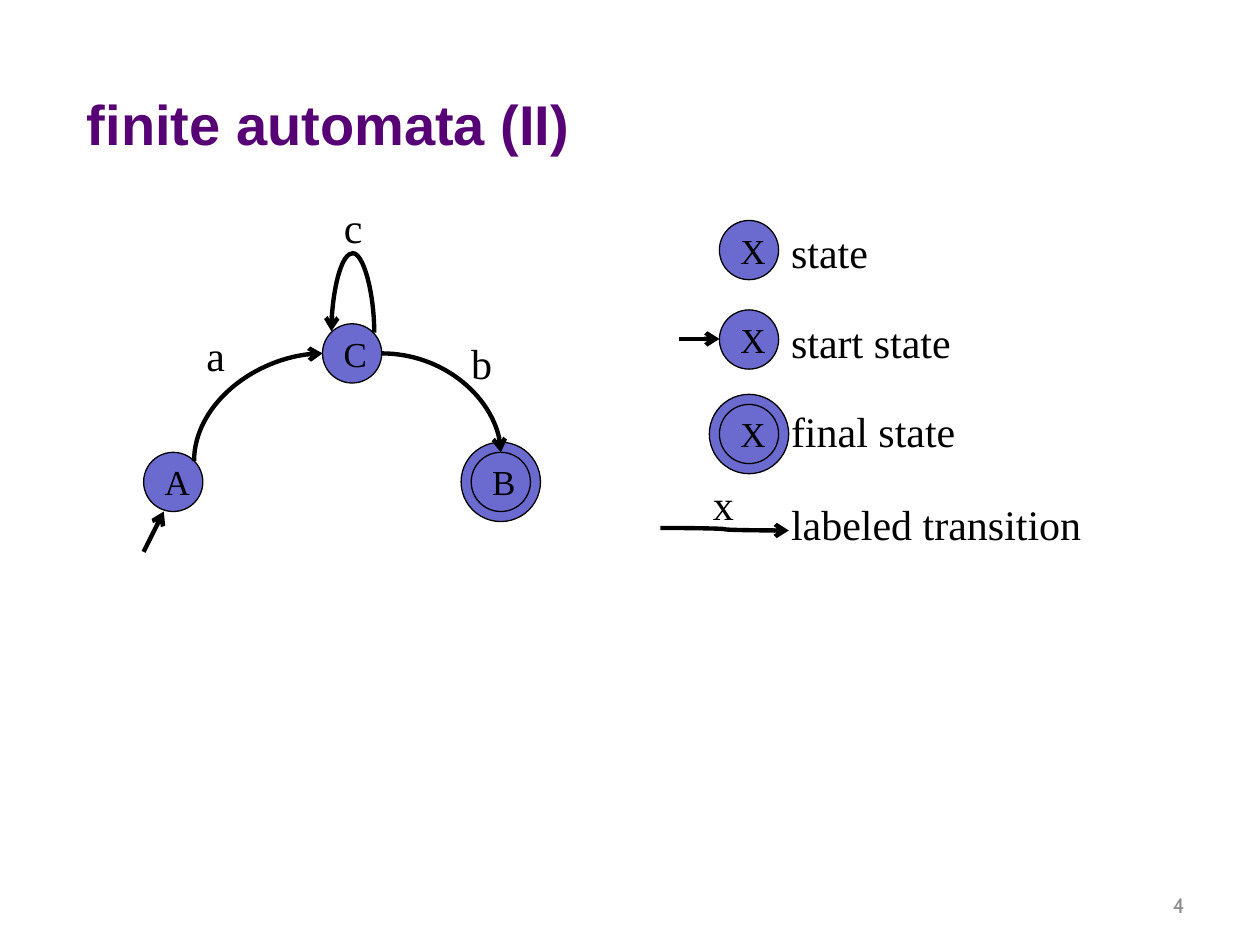
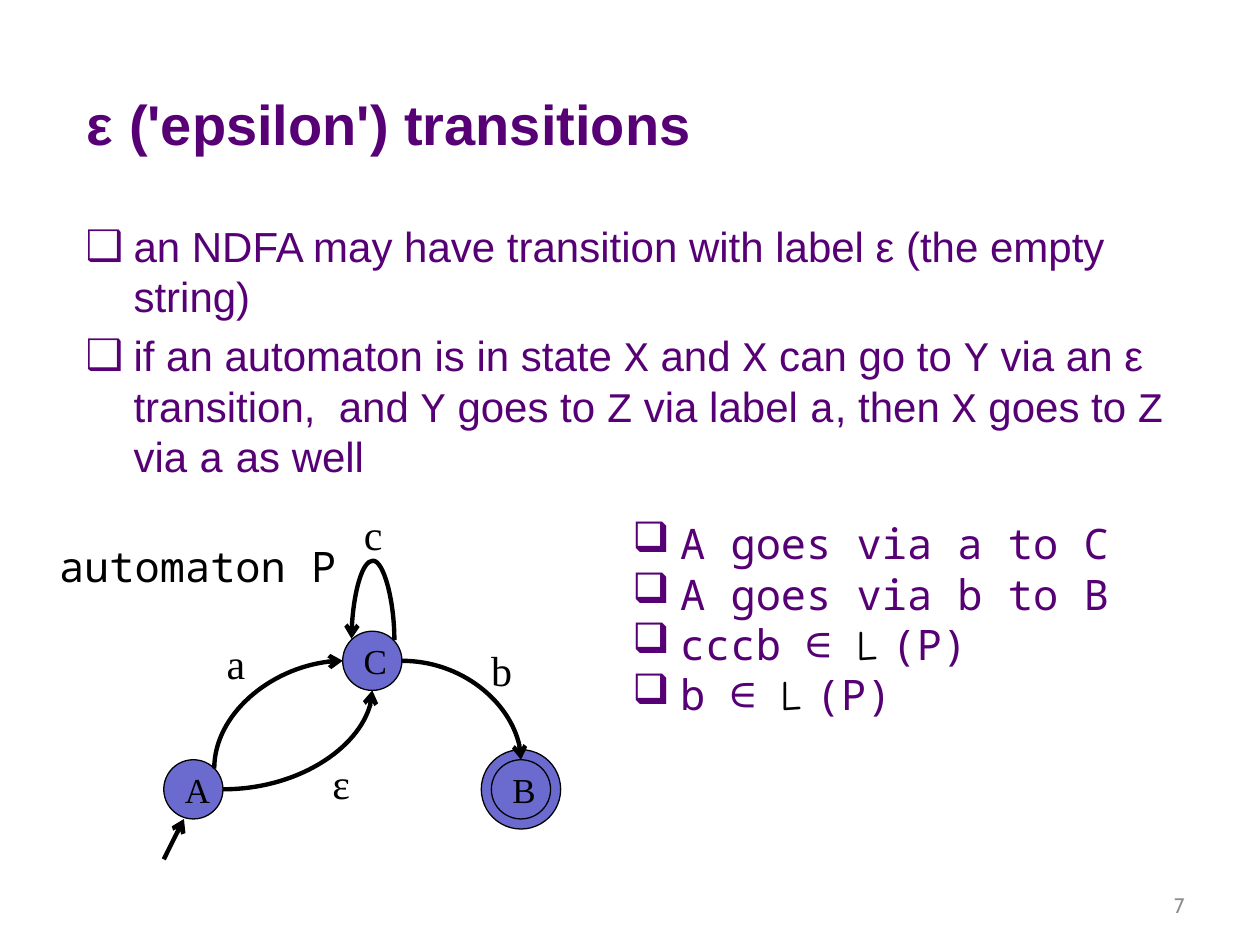
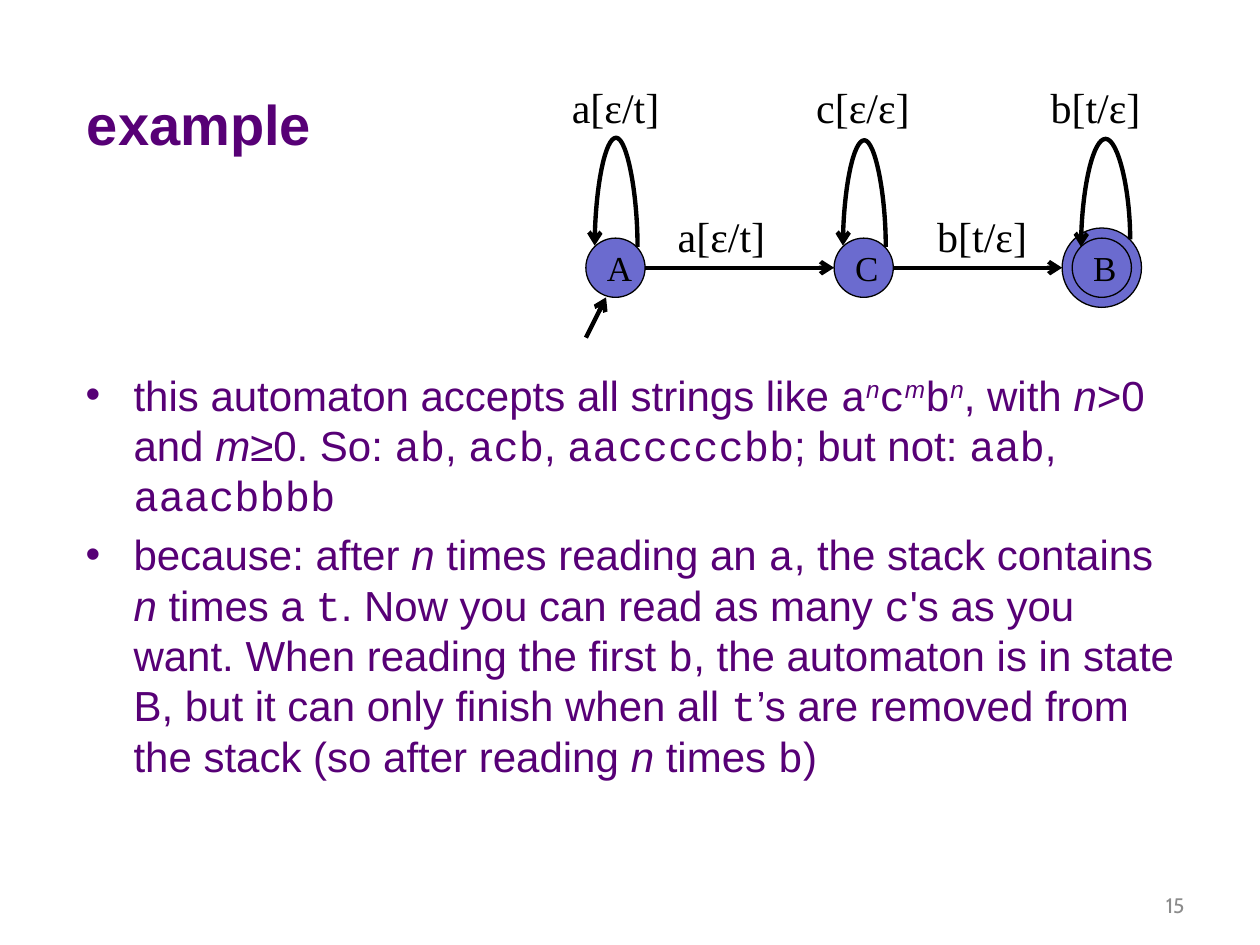
from dataclasses import dataclass
from typing import NamedTuple

from lxml import etree
from pptx import Presentation
from pptx.dml.color import RGBColor
from pptx.enum.shapes import MSO_CONNECTOR, MSO_SHAPE
from pptx.enum.text import MSO_ANCHOR, MSO_AUTO_SIZE, PP_ALIGN
from pptx.oxml.ns import qn
from pptx.util import Inches, Pt

STRAIGHT, CURVE = MSO_CONNECTOR.STRAIGHT, MSO_CONNECTOR.CURVE
OVAL = MSO_SHAPE.OVAL
MIDDLE = MSO_ANCHOR.MIDDLE
LEFT, CENTER, RIGHT = PP_ALIGN.LEFT, PP_ALIGN.CENTER, PP_ALIGN.RIGHT
FIT_SHAPE, NO_FIT = MSO_AUTO_SIZE.SHAPE_TO_FIT_TEXT, MSO_AUTO_SIZE.NONE

PURPLE = RGBColor(0x57, 0x00, 0x76)
STATE_BLUE = RGBColor(0x6B, 0x6B, 0xCF)
BLACK = RGBColor(0x00, 0x00, 0x00)
GREY = RGBColor(0x8C, 0x8C, 0x8C)

SANS, SERIF, CODE = "Arial", "Times New Roman", "Courier New"
MONO, SCRIPT, NUMBER = "Noto Sans Mono", "Comic Neue", "Cabin"

CONTENT_LAYOUT, TITLE_LAYOUT = 1, 5
STATE_SIZE, RING_SIZE, RING_GAP = 0.47, 0.63, 0.08
RADIUS = STATE_SIZE / 2
LABEL_HEIGHT = 0.5
TEXT_SIZE, LINE_PITCH = 24, 28.8
HANGING = 0.38


class Point(NamedTuple):
    x: float
    y: float


@dataclass
class State:
    name: str
    x: float
    y: float
    final: bool = False


@dataclass
class Label:
    text: str
    x: float
    y: float
    width: float
    font: str = SERIF
    wrap: bool = False


@dataclass
class Span:
    text: str
    font: str = SANS
    color: RGBColor = PURPLE
    italic: bool = False
    raised: bool = False


def code(text: str) -> Span:
    return Span(text, CODE)


def var(text: str) -> Span:
    return Span(text, italic=True)


def power(text: str) -> Span:
    return Span(text, italic=True, raised=True)


def style(run, font: str, size: float, color: RGBColor, bold: bool = False, italic: bool = False) -> None:
    run.font.name = font
    run.font.size = Pt(size)
    run.font.color.rgb = color
    run.font.bold = bold
    run.font.italic = italic


def place(shape, x: float, y: float, width: float, height: float) -> None:
    shape.left, shape.top = Inches(x), Inches(y)
    shape.width, shape.height = Inches(width), Inches(height)


def start_slide(deck, layout: int, title: str, number: str):
    slide = deck.slides.add_slide(deck.slide_layouts[layout])
    heading = slide.shapes.title
    place(heading, 0.59, 0.6, 8.92, 0.75)
    frame = heading.text_frame
    frame.text = title
    frame.auto_size = NO_FIT
    frame.vertical_anchor = MIDDLE
    frame.paragraphs[0].alignment = LEFT
    style(frame.paragraphs[0].runs[0], SANS, 32, PURPLE, bold=True)

    page = slide.shapes.add_textbox(Inches(8.94), Inches(6.98), Inches(0.56), Inches(0.4))
    page.text_frame.text = number
    page.text_frame.word_wrap = True
    page.text_frame.vertical_anchor = MIDDLE
    page.text_frame.paragraphs[0].alignment = RIGHT
    style(page.text_frame.paragraphs[0].runs[0], NUMBER, 12, GREY)
    return slide


def draw_label(slide, label: Label) -> None:
    box = slide.shapes.add_textbox(
        Inches(label.x), Inches(label.y), Inches(label.width), Inches(LABEL_HEIGHT)
    )
    frame = box.text_frame
    frame.text = label.text
    frame.word_wrap = label.wrap
    frame.auto_size = FIT_SHAPE
    style(frame.paragraphs[0].runs[0], label.font, TEXT_SIZE, BLACK)


def draw_circle(slide, x: float, y: float, size: float):
    circle = slide.shapes.add_shape(OVAL, Inches(x), Inches(y), Inches(size), Inches(size))
    circle.shadow.inherit = False
    circle.fill.solid()
    circle.fill.fore_color.rgb = STATE_BLUE
    circle.line.color.rgb = BLACK
    circle.line.width = Pt(0.75)
    return circle


def draw_state(slide, state: State) -> None:
    if state.final:
        draw_circle(slide, state.x - RING_GAP, state.y - RING_GAP, RING_SIZE)
    frame = draw_circle(slide, state.x, state.y, STATE_SIZE).text_frame
    frame.text = state.name
    frame.word_wrap = True
    frame.vertical_anchor = MIDDLE
    frame.paragraphs[0].alignment = CENTER
    style(frame.paragraphs[0].runs[0], SERIF, 20, BLACK)


def draw_arrow(slide, start: Point, end: Point, kind=STRAIGHT):
    arrow = slide.shapes.add_connector(
        kind, Inches(start.x), Inches(start.y), Inches(end.x), Inches(end.y)
    )
    arrow.line.color.rgb = BLACK
    arrow.line.width = Pt(2.5)
    properties = arrow._element.spPr
    etree.SubElement(properties.find(qn("a:ln")), qn("a:tailEnd"), type="arrow")
    etree.SubElement(properties, qn("a:effectLst"))
    return arrow


def draw_turned(slide, start: Point, end: Point, turn: int, preset: str, rise: float = 0) -> None:
    dx, dy = end.x - start.x, end.y - start.y
    across, down = {0: (dx, dy), 90: (dy, -dx), 270: (-dy, dx)}[turn]
    middle = Point((start.x + end.x) / 2, (start.y + end.y) / 2)
    arrow = draw_arrow(
        slide,
        Point(middle.x - across / 2, middle.y - down / 2),
        Point(middle.x + across / 2, middle.y + down / 2),
        CURVE,
    )
    properties = arrow._element.spPr
    properties.find(qn("a:xfrm")).set("rot", str(turn * 60000))
    geometry = properties.find(qn("a:prstGeom"))
    geometry.set("prst", preset)
    if rise:
        guides = geometry.find(qn("a:avLst"))
        bend = round(rise / across * 100000)
        etree.SubElement(guides, qn("a:gd"), name="adj1", fmla=f"val {bend}")


def draw_arc(slide, start: Point, end: Point, turn: int = 0) -> None:
    draw_turned(slide, start, end, turn, "curvedConnector2")


def draw_loop(slide, start: Point, end: Point, rise: float) -> None:
    draw_turned(slide, start, end, 270, "curvedConnector3", rise)


def loop_on(slide, state: State, rise: float) -> None:
    draw_loop(slide, Point(state.x + 0.41, state.y + 0.07), Point(state.x + 0.07, state.y + 0.06), rise)


def mark_start(slide, state: State) -> None:
    draw_arrow(slide, Point(state.x, state.y + 0.79), Point(state.x + 0.16, state.y + STATE_SIZE))


def draw_automaton(slide, x: float, y: float) -> tuple[State, State]:
    a = State("A", x, y)
    c = State("C", x + 1.42, y - 1.02)
    b = State("B", x + 2.6, y, final=True)
    for state in (a, c, b):
        draw_state(slide, state)
    draw_arc(slide, Point(a.x + 0.4, a.y + 0.07), Point(c.x, c.y + RADIUS), 90)
    draw_arc(slide, Point(c.x + STATE_SIZE, c.y + RADIUS), Point(b.x + RADIUS, b.y))
    loop_on(slide, c, 0.64)
    mark_start(slide, a)
    for label in (
        Label("a", x + 0.4, y - 1.02, 0.35),
        Label("b", x + 2.5, y - 0.96, 0.37),
        Label("c", x + 1.49, y - 2.04, 0.35),
    ):
        draw_label(slide, label)
    return a, c


def write_bullets(frame, items: list[list[Span]], mark: str) -> None:
    frame.word_wrap = True
    for index, spans in enumerate(items):
        paragraph = frame.paragraphs[0] if index == 0 else frame.add_paragraph()
        paragraph.line_spacing = Pt(LINE_PITCH)
        settings = paragraph._p.get_or_add_pPr()
        settings.set("marL", str(Inches(HANGING)))
        settings.set("indent", str(-Inches(HANGING)))
        etree.SubElement(settings, qn("a:buChar"), char=mark)
        for span in spans:
            run = paragraph.add_run()
            run.text = span.text
            style(run, span.font, TEXT_SIZE, span.color, italic=span.italic)
            if span.raised:
                run._r.get_or_add_rPr().set("baseline", "30000")


def write_body(slide, y: float, height: float, items: list[list[Span]], mark: str) -> None:
    body = slide.placeholders[1]
    place(body, 0.58, y, 8.92, height)
    body.text_frame.auto_size = NO_FIT
    write_bullets(body.text_frame, items, mark)


def build_finite_automata(deck) -> None:
    slide = start_slide(deck, TITLE_LAYOUT, "finite automata (II)", "4")
    draw_automaton(slide, 1.14, 3.59)
    for state in (
        State("X", 5.71, 1.75),
        State("X", 5.71, 2.46),
        State("X", 5.71, 3.21, final=True),
    ):
        draw_state(slide, state)
    draw_arrow(slide, Point(5.39, 2.69), Point(5.71, 2.69))
    draw_arrow(slide, Point(5.24, 4.19), Point(6.26, 4.21), CURVE)
    draw_label(slide, Label("x", 5.56, 3.75, 0.37))
    for meaning, y in (
        ("state", 1.75),
        ("start state", 2.46),
        ("final state", 3.17),
        ("labeled transition", 3.91),
    ):
        draw_label(slide, Label(meaning, 6.18, y, 3.23, wrap=True))


def build_epsilon(deck) -> None:
    slide = start_slide(deck, CONTENT_LAYOUT, "ε ('epsilon') transitions", "7")
    rules = [
        [Span("an NDFA may have transition with label ε (the empty string)")],
        [
            Span("if an automaton is in state "), code("X"), Span(" and "), code("X"),
            Span(" can go to "), code("Y"), Span(" via an ε transition,  and "), code("Y"),
            Span(" goes to "), code("Z"), Span(" via label "), code("a"), Span(", then "),
            code("X"), Span(" goes to "), code("Z "), Span("via "), code("a"), Span(" as well"),
        ],
    ]
    write_body(slide, 1.7, 4.72, rules, "❑")

    a, c = draw_automaton(slide, 1.3, 6.03)
    draw_arc(slide, Point(a.x + STATE_SIZE, a.y + RADIUS), Point(c.x + RADIUS, c.y + STATE_SIZE))
    draw_label(slide, Label("ε", 2.54, 5.96, 0.35))
    draw_label(slide, Label("automaton P", 0.37, 4.24, 2.52, MONO, wrap=True))

    language = [Span("L ", SCRIPT, BLACK), Span("(P)", MONO)]
    results = [
        [Span("A goes via a to C", MONO)],
        [Span("A goes via b to B", MONO)],
        [Span("cccb ∈ ", MONO), *language],
        [Span("b ∈ ", MONO), *language],
    ]
    box = slide.shapes.add_textbox(Inches(4.92), Inches(4.06), Inches(4.33), Inches(1.72))
    box.text_frame.auto_size = FIT_SHAPE
    write_bullets(box.text_frame, results, "❑")


def build_example(deck) -> None:
    slide = start_slide(deck, CONTENT_LAYOUT, "example", "15")
    explanation = [
        [
            Span("this automaton accepts all strings like "), code("a"), power("n"), code("c"),
            power("m"), code("b"), power("n"), Span(", with "), var("n"), Span(">0 and "),
            var("m"), Span("≥0. So: "), code("ab"), Span(", "), code("acb"), Span(", "),
            code("aacccccbb"), Span("; but not: "), code("aab"), Span(", "), code("aaacbbbb"),
        ],
        [
            Span("because: after "), var("n"), Span(" times reading an "), code("a"),
            Span(", the stack contains "), var("n"), Span(" times a "), code("t"),
            Span(". Now you can read as many "), code("c"),
            Span("'s as you want. When reading the first "), code("b"),
            Span(", the automaton is in state B, but it can only finish when all "), code("t"),
            Span("’s are removed from the stack (so after reading "), var("n"),
            Span(" times "), code("b"), Span(")"),
        ],
    ]
    write_body(slide, 2.88, 3.86, explanation, "•")

    a, c = State("A", 4.65, 1.89), State("C", 6.62, 1.89)
    b = State("B", 8.51, 1.89, final=True)
    for state in (a, c, b):
        draw_state(slide, state)
    axis = a.y + RADIUS
    draw_arrow(slide, Point(a.x + STATE_SIZE, axis), Point(c.x, axis), CURVE)
    draw_arrow(slide, Point(c.x + STATE_SIZE, axis), Point(b.x - RING_GAP, axis), CURVE)
    loop_on(slide, a, 0.88)
    loop_on(slide, c, 0.86)
    draw_loop(slide, Point(8.97, 1.9), Point(8.58, 1.96), 0.8)
    mark_start(slide, a)
    for label in (
        Label("a[ε/t]", 4.44, 0.6, 0.91),
        Label("c[ε/ε]", 6.38, 0.6, 0.96),
        Label("b[t/ε]", 8.24, 0.6, 0.93),
        Label("a[ε/t]", 5.28, 1.62, 0.91),
        Label("b[t/ε]", 7.34, 1.62, 0.93),
    ):
        draw_label(slide, label)


def main() -> None:
    deck = Presentation()
    deck.slide_width, deck.slide_height = Inches(10), Inches(7.5)
    build_finite_automata(deck)
    build_epsilon(deck)
    build_example(deck)
    deck.save("out.pptx")


if __name__ == "__main__":
    main()
